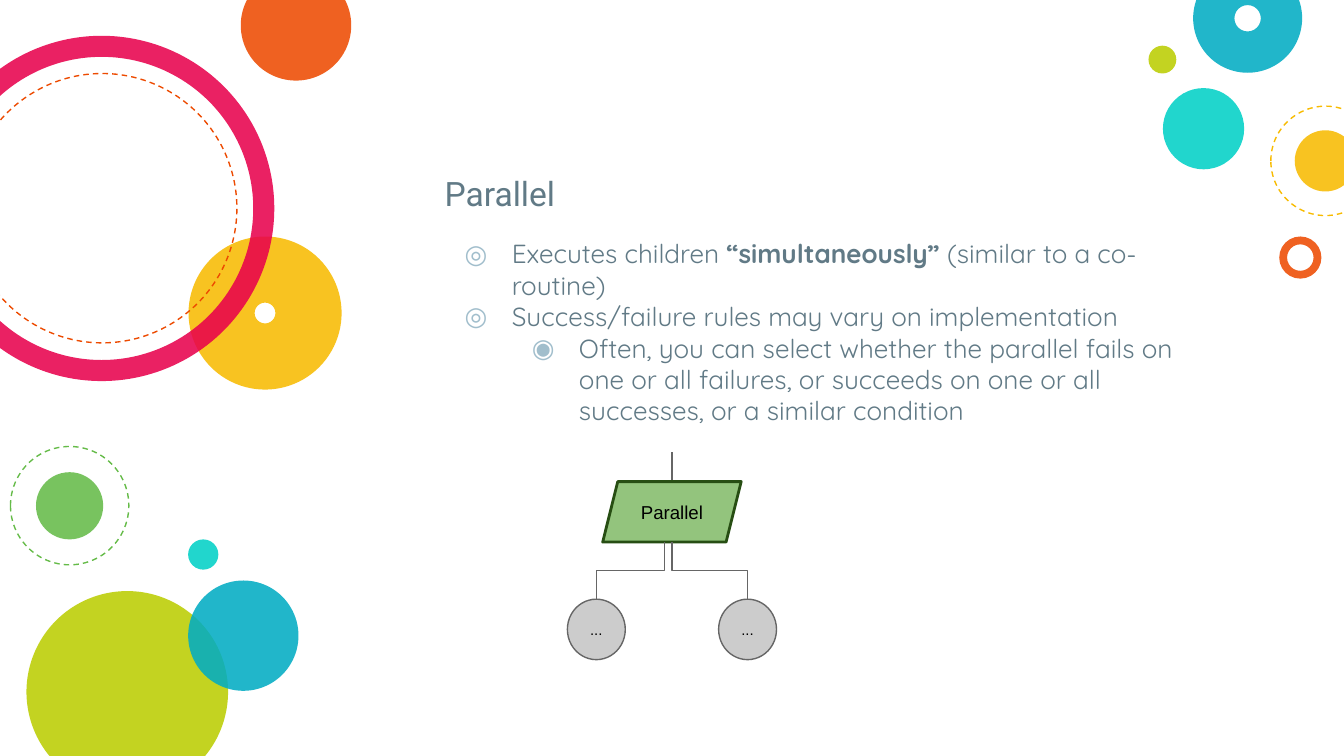
import pptx
import pptx.util
import pptx.dml.color
import pptx.enum.dml
import pptx.enum.shapes
import pptx.enum.text
import pptx.oxml
import pptx.oxml.ns
from dataclasses import dataclass
from lxml import etree

Pt = pptx.util.Pt
Kind = pptx.enum.shapes.MSO_SHAPE
Link = pptx.enum.shapes.MSO_CONNECTOR
Side = pptx.enum.text.PP_ALIGN
Hold = pptx.enum.text.MSO_ANCHOR
qn = pptx.oxml.ns.qn


@dataclass(frozen=True)
class Theme:
    teal: str = "00D1C6"
    lime: str = "BBCD00"
    green: str = "65BB48"
    gold: str = "F8BB00"
    orange: str = "ED4A00"
    pink: str = "E8004C"
    blue: str = "00ACC3"
    ink: str = "617A86"
    mark: str = "A1BECC"
    black: str = "000000"
    grey: str = "666666"
    pale: str = "CCCCCC"
    leaf: str = "93C47D"
    moss: str = "274E13"
    head: str = "Roboto"
    body: str = "Quicksand"
    label: str = "Arial"
    big: float = 18
    main: float = 14
    node: float = 10
    small: float = 8
    thin: float = 0.75
    thick: float = 1.5


T = Theme()


def rgb(code):
    return pptx.dml.color.RGBColor.from_string(code)


def write(para, text, font=T.body, size=T.main, color=T.ink, bold=False):
    run = para.add_run()
    run.text = text
    run.font.name = font
    run.font.size = Pt(size)
    run.font.color.rgb = rgb(color)
    run.font.bold = bold


def frame(shape, anchor):
    box = shape.text_frame
    box.word_wrap = True
    box.vertical_anchor = anchor
    box.margin_left = box.margin_right = Pt(7.2)
    box.margin_top = box.margin_bottom = Pt(7.2)
    return box


def form(slide, kind, x, y, w, h, fill=None, line=None, width=T.thin, adj=None):
    shape = slide.shapes.add_shape(kind, Pt(x), Pt(y), Pt(w), Pt(h))
    shape.shadow.inherit = False
    if adj is not None:
        shape.adjustments[0] = adj
    if fill:
        shape.fill.solid()
        shape.fill.fore_color.rgb = rgb(fill)
    else:
        shape.fill.background()
    if line:
        shape.line.color.rgb = rgb(line)
        shape.line.width = Pt(width)
    else:
        shape.line.fill.background()
    return shape


def disc(slide, x, y, size, color, hole=None):
    kind = Kind.OVAL if hole is None else Kind.DONUT
    shape = form(slide, kind, x, y, size, size, fill=color, adj=hole)
    tint = shape.fill._xPr.find(qn("a:solidFill"))[0]
    etree.SubElement(tint, qn("a:alpha"), val="87000")


def ring(slide, x, y, size, color):
    shape = form(slide, Kind.OVAL, x, y, size, size, line=color)
    shape.line.dash_style = pptx.enum.dml.MSO_LINE.DASH


def node(slide, kind, x, y, w, h, text, size, **look):
    shape = form(slide, kind, x, y, w, h, **look)
    para = frame(shape, Hold.MIDDLE).paragraphs[0]
    para.alignment = Side.CENTER
    write(para, text, font=T.label, size=size, color=T.black)


def wire(slide, kind, x1, y1, x2, y2):
    link = slide.shapes.add_connector(kind, Pt(x1), Pt(y1), Pt(x2), Pt(y2))
    link.line.color.rgb = rgb(T.grey)
    link.line.width = Pt(T.thin)
    etree.SubElement(link._element.spPr, qn("a:effectLst"))
    return link


def drop(slide, x1, y1, x2, y2):
    """Elbow that leaves downwards: a turned elbow about the same centre."""
    mx, my = (x1 + x2) / 2, (y1 + y2) / 2
    dx, dy = abs(x2 - x1) / 2, (y2 - y1) / 2
    way = 1 if x2 < x1 else -1
    link = wire(slide, Link.ELBOW, mx - way * dy, my - dx, mx + way * dy, my + dx)
    turn = 90 if way == 1 else 270
    link._element.spPr.find(qn("a:xfrm")).set("rot", str(turn * 60000))


def bullet(para, sign, level):
    para.level = level
    props = para._p.get_or_add_pPr()
    props.set("marL", str(Pt(36 * (level + 1))))
    props.set("indent", str(Pt(-25.2)))
    tint = etree.SubElement(props, qn("a:buClr"))
    etree.SubElement(tint, qn("a:srgbClr"), val=T.mark)
    etree.SubElement(props, qn("a:buFont"), typeface=T.body)
    etree.SubElement(props, qn("a:buChar"), char=sign)


def decor(slide):
    # Left side
    disc(slide, 100.8, 289, 16.2, T.teal)
    disc(slide, 14.2, 316.7, 108, T.lime)
    disc(slide, 19.3, 253, 36, T.green)
    ring(slide, 5.6, 239.2, 63.4, T.green)
    disc(slide, 101, 126.7, 82, T.gold, hole=0.432)
    disc(slide, 129, -16, 59.2, T.orange)
    disc(slide, -38, 19.2, 185, T.pink, hole=0.061)
    ring(slide, -17.4, 39.4, 144.3, T.orange)
    disc(slide, 100.8, 311, 59.1, T.blue)
    # Right side
    disc(slide, 623, 47.2, 43.5, T.teal)
    disc(slide, 685.3, 126.7, 22.6, T.orange, hole=0.186)
    disc(slide, 693.6, 69.8, 32.8, T.gold)
    disc(slide, 639.2, -19.4, 58.4, T.blue, hole=0.379)
    disc(slide, 615.3, 24.5, 14.9, T.lime)
    ring(slide, 680.8, 56.9, 58.6, T.gold)


def words(slide):
    left, wide = 231.1, 415.4
    # Title
    box = slide.shapes.add_textbox(Pt(left), Pt(71.3), Pt(wide), Pt(50.4))
    para = frame(box, Hold.BOTTOM).paragraphs[0]
    write(para, "Parallel", font=T.head, size=T.big)
    # Bullets: sign, level, and pieces of text with their weight
    rows = [
        ("◎", 0, [("Executes children ", False), ("“simultaneously”", True),
                  (" (similar to a co-routine)", False)]),
        ("◎", 0, [("Success/failure rules may vary on implementation", False)]),
        ("◉", 1, [("Often, you can select whether the parallel fails on one or all "
                   "failures, or succeeds on one or all successes, or a similar "
                   "condition", False)]),
    ]
    box = slide.shapes.add_textbox(Pt(left), Pt(120.2), Pt(wide), Pt(128.2))
    body = frame(box, Hold.TOP)
    for i, (sign, level, bits) in enumerate(rows):
        para = body.add_paragraph() if i else body.paragraphs[0]
        bullet(para, sign, level)
        for text, bold in bits:
            write(para, text, bold=bold)


def tree(slide):
    mid, top, low, wide, high = 360, 258, 321, 31, 32.4
    base = top + high
    # Way in
    wire(slide, Link.STRAIGHT, mid, top, mid, 242)
    # Children, and the parent above them
    kids = (mid - 40.5, mid + 40.5)
    for x in kids:
        node(slide, Kind.OVAL, x - wide / 2, low, wide, high, "...", T.small,
             fill=T.pale, line=T.grey)
    node(slide, Kind.PARALLELOGRAM, mid - 37.1, top, 74.2, high, "Parallel",
         T.node, fill=T.leaf, line=T.moss, width=T.thick, adj=0.25)
    # Branches
    for start, x in zip((mid - 4, mid), kids):
        drop(slide, start, base, x, low)


def main():
    deck = pptx.Presentation()
    deck.slide_width, deck.slide_height = Pt(720), Pt(405)
    slide = deck.slides.add_slide(deck.slide_layouts[6])
    decor(slide)
    words(slide)
    tree(slide)
    deck.save("out.pptx")


if __name__ == "__main__":
    main()
